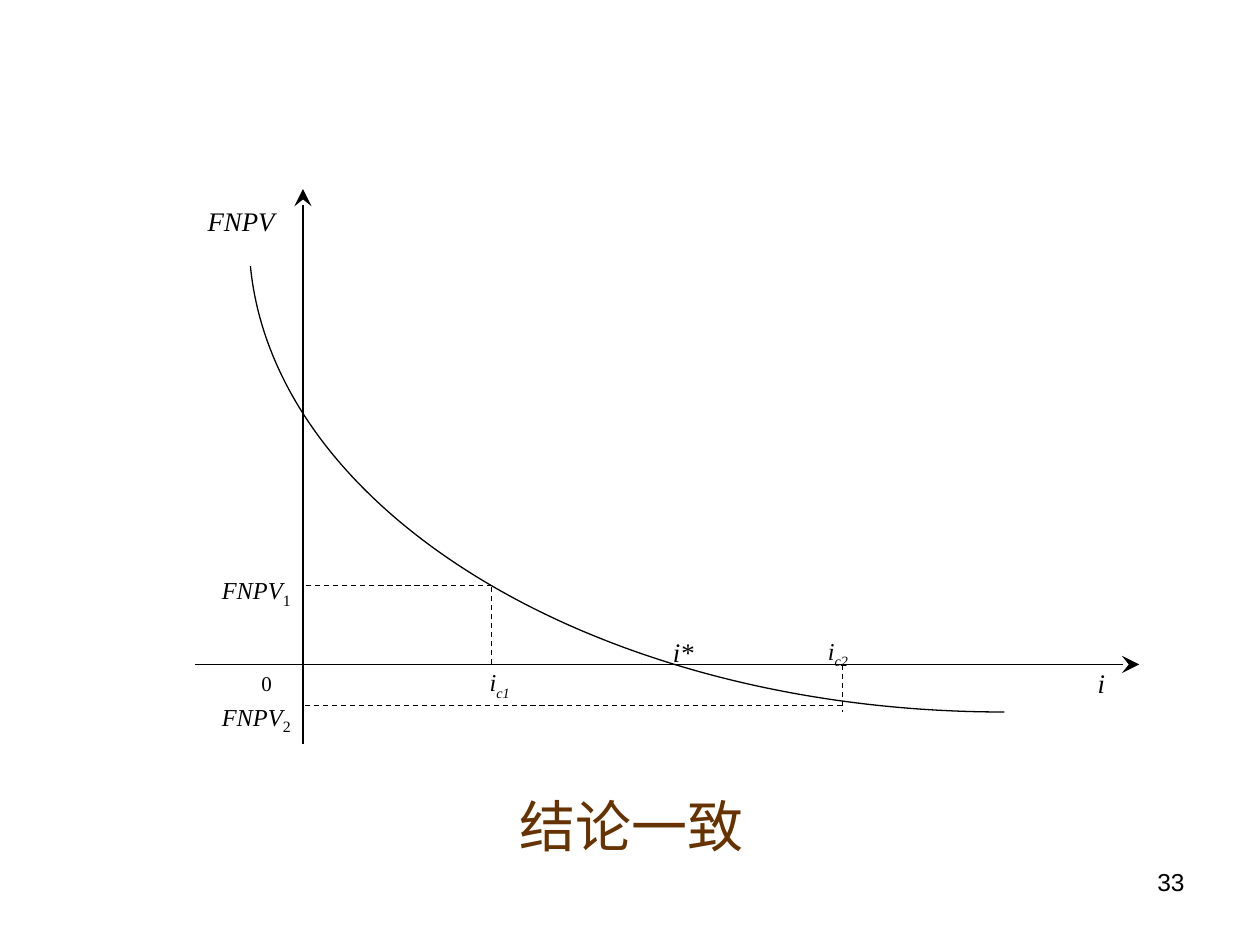
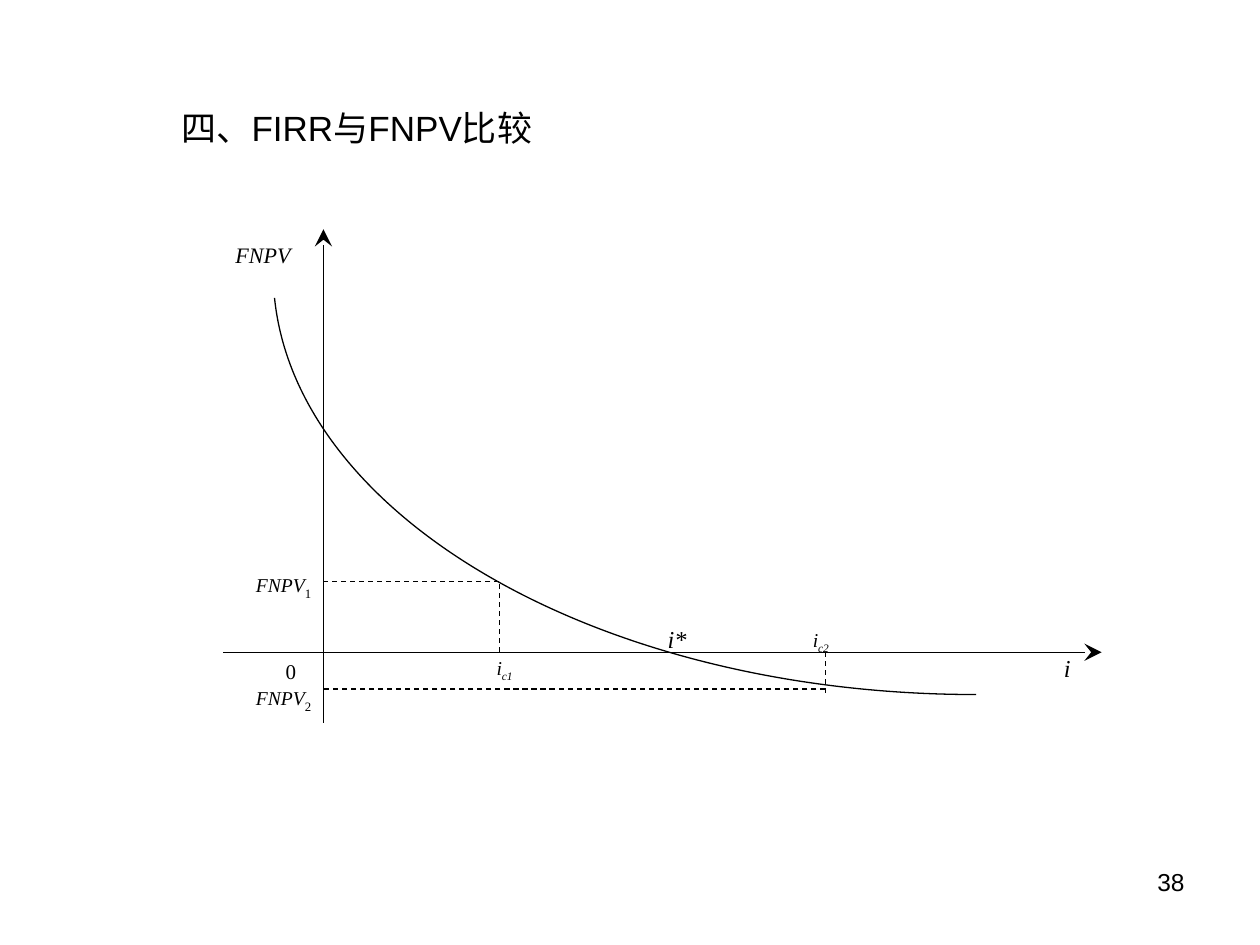
from dataclasses import dataclass

import lxml.etree
import pptx
import pptx.dml.color
import pptx.enum.dml
import pptx.enum.shapes
import pptx.enum.text
import pptx.oxml.ns
import pptx.util

Pt = pptx.util.Pt
qn = pptx.oxml.ns.qn
ALIGN = pptx.enum.text.PP_ALIGN


@dataclass(frozen=True)
class Theme:
    ink: str = "000000"
    brown: str = "663300"
    sans: str = "Arial"
    serif: str = "Times New Roman"
    line_width: float = 0.75
    caption_size: float = 32
    title_size: float = 20
    number_size: float = 14
    origin_size: float = 12


@dataclass(frozen=True)
class LabelSizes:
    value_axis: float
    rate_axis: float
    mark: float
    index: float
    axis_spacing: float


THEME = Theme()
LARGE_LABELS = LabelSizes(15.3, 15.3, 13.9, 15.5, 0.9)
SMALL_LABELS = LabelSizes(12.6, 13.9, 11.2, 12.5, 0.8)

# The diagram is drawn on a square grid of units stretched over its box.
GRID = 35
ORIGIN = (4, 30)
POINT_1 = (11, 25)
POINT_2 = (24, 32.6)
CURVE = ((2.05, 4.87), (2.95, 20.55), (15.1, 33), (30, 33))
LABEL_HEIGHT = 3


def apply(target, values):
    for name, value in values.items():
        setattr(target, name, value)


def add_run(paragraph, text, size, font, color=THEME.ink, italic=False, subscript=False):
    run = paragraph.add_run()
    run.text = text
    apply(run.font, {"size": Pt(size), "name": font, "italic": italic, "bold": False})
    run.font.color.rgb = pptx.dml.color.RGBColor.from_string(color)
    if subscript:
        run._r.get_or_add_rPr().set("baseline", "-25000")


def format_frame(shape, box, alignment, spacing=1.0, indent=0):
    """Place a text shape and return its first paragraph."""
    apply(shape, dict(zip(("left", "top", "width", "height"), map(Pt, box))))
    apply(shape.text_frame, {
        "word_wrap": True,
        "auto_size": pptx.enum.text.MSO_AUTO_SIZE.NONE,
        "vertical_anchor": pptx.enum.text.MSO_ANCHOR.TOP,
        "margin_left": Pt(7.2 + indent), "margin_right": Pt(7.2),
        "margin_top": Pt(3.6), "margin_bottom": Pt(3.6),
    })
    paragraph = shape.text_frame.paragraphs[0]
    apply(paragraph, {"alignment": alignment, "line_spacing": spacing})
    return paragraph


def format_line(line):
    line.width = Pt(THEME.line_width)
    line.color.rgb = pptx.dml.color.RGBColor.from_string(THEME.ink)


def add_line(shapes, start, end, dashed=False, arrow=False):
    connector = shapes.add_connector(
        pptx.enum.shapes.MSO_CONNECTOR.STRAIGHT, *map(Pt, (*start, *end)))
    format_line(connector.line)
    if dashed:
        connector.line.dash_style = pptx.enum.dml.MSO_LINE.DASH
    if arrow:
        lxml.etree.SubElement(connector.line._get_or_add_ln(), qn("a:tailEnd"),
                              type="stealth", w="lg", len="lg")
    lxml.etree.SubElement(connector._element.spPr, qn("a:effectLst"))


def add_bezier(shapes, points):
    """Draw one cubic curve from its start, two control points and end."""
    builder = shapes.build_freeform(*map(Pt, points[0]))
    builder.add_line_segments([tuple(map(Pt, point)) for point in points[1:]], close=False)
    shape = builder.convert_to_shape()
    shape.shadow.inherit = False
    shape.fill.background()
    format_line(shape.line)
    outline = shape._element.find(".//" + qn("a:path"))
    bezier = lxml.etree.SubElement(outline, qn("a:cubicBezTo"))
    for segment in outline.findall(qn("a:lnTo")):
        bezier.append(segment[0])
        outline.remove(segment)


def draw_value_curve(slide, box, sizes):
    """Draw net present value against the discount rate inside the box."""
    left, top, width, height = box
    shapes = slide.shapes.add_group_shape().shapes

    def at(x, y):
        return left + x * width / GRID, top + y * height / GRID

    def add_label(x, y, columns, runs, alignment=ALIGN.JUSTIFY, spacing=0.8, indent=0):
        label_box = (*at(x, y), columns * width / GRID, LABEL_HEIGHT * height / GRID)
        paragraph = format_frame(shapes.add_textbox(0, 0, 0, 0), label_box,
                                 alignment, spacing, indent)
        for text, size, italic, subscript in runs:
            add_run(paragraph, text, size, THEME.serif, italic=italic, subscript=subscript)

    origin_x, origin_y = ORIGIN
    add_line(shapes, at(0, origin_y), at(GRID, origin_y), arrow=True)
    add_line(shapes, at(origin_x, GRID), at(origin_x, 0), arrow=True)
    add_bezier(shapes, [at(*point) for point in CURVE])

    for (x, y), foot in ((POINT_1, POINT_1[1]), (POINT_2, 33)):
        add_line(shapes, at(x, origin_y), at(x, foot), dashed=True)
        add_line(shapes, at(x, y), at(origin_x, y), dashed=True)

    add_label(0, 0.8, 5, [("FNPV", sizes.value_axis, True, False)],
              spacing=sizes.axis_spacing)
    add_label(33, 30, 3, [("i", sizes.rate_axis, True, False)], spacing=sizes.axis_spacing)
    add_label(2, 30, 3, [("0", THEME.origin_size, False, False)], spacing=1.0)
    add_label(16, 28, 4, [("i*", sizes.rate_axis, True, False)],
              spacing=sizes.axis_spacing, indent=1.25 * sizes.rate_axis)
    for index, y in (("1", 24), ("2", 32)):
        add_label(-1, y, 5, [("FNPV", sizes.mark, True, False),
                             (index, sizes.index, False, True)], ALIGN.RIGHT)
    for index, x, y, indent in (("c1", 10, 30, sizes.mark / 2), ("c2", 23, 28, 0)):
        add_label(x, y, 3, [("i", sizes.mark, True, False),
                            (index, sizes.mark, True, True)], indent=indent)


def write_title(slide, box, text, size, color, alignment):
    paragraph = format_frame(slide.shapes.title, box, alignment)
    add_run(paragraph, text, size, THEME.sans, color)


def write_slide_number(slide, box, number):
    paragraph = format_frame(slide.shapes.add_textbox(0, 0, 0, 0), box, ALIGN.RIGHT)
    add_run(paragraph, str(number), THEME.number_size, THEME.sans)


def build_slide(presentation, number, curve_box, sizes, title):
    slide = presentation.slides.add_slide(presentation.slide_layouts.get_by_name("Title Only"))
    draw_value_curve(slide, curve_box, sizes)
    write_title(slide, *title)
    write_slide_number(slide, (516, 492, 168, 37.5), number)


def main():
    presentation = pptx.Presentation()
    apply(presentation, {"slide_width": Pt(720), "slide_height": Pt(540)})
    build_slide(presentation, 33, (111.5, 108, 539.5, 317), LARGE_LABELS,
                ((167, 448.5, 388, 46), "结论一致", THEME.caption_size,
                 THEME.brown, ALIGN.CENTER))
    build_slide(presentation, 38, (127.5, 131, 502, 282), SMALL_LABELS,
                ((96.5, 57.5, 405.5, 31.5), "四、FIRR与FNPV比较", THEME.title_size,
                 THEME.ink, ALIGN.LEFT))
    presentation.save("out.pptx")


if __name__ == "__main__":
    main()
